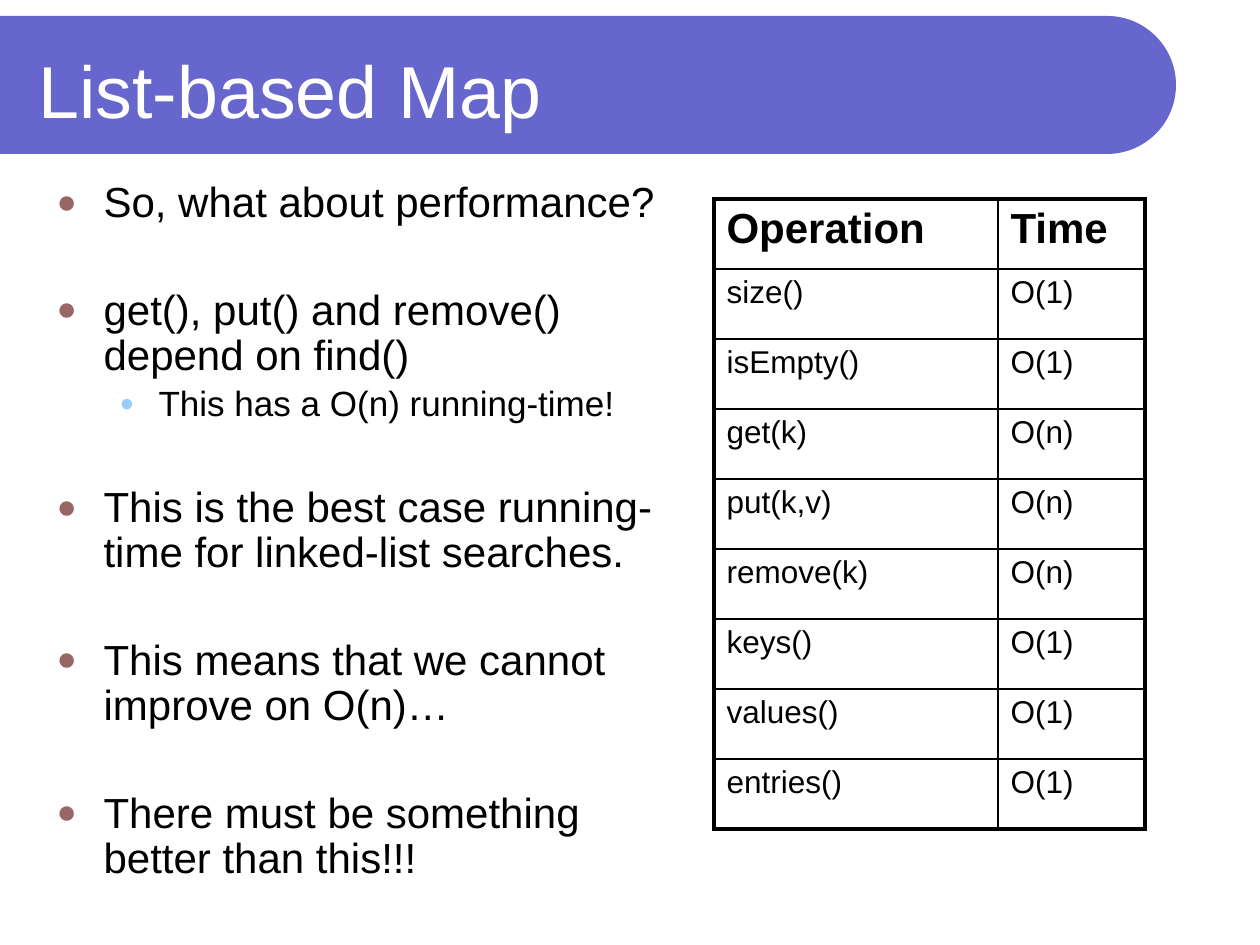
from math import cos, pi, sin

from lxml.etree import SubElement
from pptx import Presentation
from pptx.dml.color import RGBColor
from pptx.enum.text import MSO_ANCHOR as Anchor, MSO_AUTO_SIZE as AutoSize, PP_ALIGN as Align
from pptx.oxml import parse_xml
from pptx.oxml.ns import nsdecls, qn
from pptx.util import Emu, Pt

PX = 914400 / 126
BLACK, WHITE, PURPLE = "000000", "FFFFFF", "6666CC"
BULLETS = [  # level: colour, size %, left margin px, hanging indent px
    ("996666", 80, 47, 47),
    ("99CCFF", 70, 102, 39),
]
THIN, THICK = 1, 2.25

POINTS = [  # text, level, space before in points
    ("So, what about performance?", 0, 0),
    ("get(), put() and remove() depend on find()", 0, 35.5),
    ("This has a O(n) running-time!", 1, 4),
    ("This is the best case running-time for linked-list searches.", 0, 35.5),
    ("This means that we cannot improve on O(n)…", 0, 35.5),
    ("There must be something better than this!!!", 0, 35.5),
]
TIMES = [
    ("Operation", "Time"),
    ("size()", "O(1)"),
    ("isEmpty()", "O(1)"),
    ("get(k)", "O(n)"),
    ("put(k,v)", "O(n)"),
    ("remove(k)", "O(n)"),
    ("keys()", "O(1)"),
    ("values()", "O(1)"),
    ("entries()", "O(1)"),
]


def px(n):
    return Emu(round(n * PX))


def rgb(code):
    return RGBColor.from_string(code)


def write(p, text, size=24, color=BLACK, bold=False, font="Arial"):
    r = p.add_run()
    r.text = text
    r.font.name, r.font.size, r.font.bold = font, Pt(size), bold
    r.font.color.rgb = rgb(color)


def add_bullet(p, level):
    color, percent, margin, hanging = BULLETS[level]
    p.level = level
    pPr = p._p.get_or_add_pPr()
    pPr.set("marL", str(px(margin)))
    pPr.set("indent", str(-px(hanging)))
    SubElement(SubElement(pPr, qn("a:buClr")), qn("a:srgbClr"), val=color)
    SubElement(pPr, qn("a:buSzPct"), val=str(percent * 1000))
    SubElement(pPr, qn("a:buFont"), typeface="Arial")
    SubElement(pPr, qn("a:buChar"), char="●")


def set_borders(cell, **widths):
    """Draw cell borders; keys are the sides L, R, T and B, values are points."""
    tcPr = cell._tc.get_or_add_tcPr()
    for i, side in enumerate("LRTB"):
        tcPr.insert(i, parse_xml(
            f'<a:ln{side} {nsdecls("a")} w="{Pt(widths[side])}"><a:solidFill>'
            f'<a:srgbClr val="{BLACK}"/></a:solidFill></a:ln{side}>'))


class Deck:
    def __init__(self):
        self.prs = Presentation()
        self.prs.slide_width, self.prs.slide_height = px(1260), px(945)
        self.s = self.prs.slides.add_slide(self.prs.slide_layouts[1])

    def place(self, sp, x, y, w, h, anchor):
        sp.left, sp.top, sp.width, sp.height = px(x), px(y), px(w), px(h)
        tf = sp.text_frame
        tf.word_wrap, tf.auto_size, tf.vertical_anchor = True, AutoSize.NONE, anchor
        return tf

    def banner(self, right, top, bottom, color):
        """Band from the left slide edge with a half-round right end, behind the title."""
        radius = (bottom - top) / 2
        angles = [pi * (i / 48 - 0.5) for i in range(49)]
        arc = [(px(right - radius + radius * cos(a)), px(top + radius + radius * sin(a)))
               for a in angles]
        builder = self.s.shapes.build_freeform(0, px(top))
        builder.add_line_segments(arc + [(0, px(bottom))], close=True)
        sp = builder.convert_to_shape()
        sp.shadow.inherit = False
        sp.fill.solid()
        sp.fill.fore_color.rgb = rgb(color)
        sp.line.fill.background()
        self.s.shapes.title.element.addprevious(sp.element)

    def title(self, text, x, y, w, h):
        p = self.place(self.s.shapes.title, x, y, w, h, Anchor.MIDDLE).paragraphs[0]
        p.alignment = Align.LEFT
        write(p, text, size=42, color=WHITE)

    def bullets(self, points, x, y, w, h):
        tf = self.place(self.s.placeholders[1], x, y, w, h, Anchor.TOP)
        for i, (text, level, gap) in enumerate(points):
            p = tf.add_paragraph() if i else tf.paragraphs[0]
            add_bullet(p, level)
            p.line_spacing, p.space_before = 0.9, Pt(gap)
            write(p, text, size=20 if level else 24)

    def table(self, rows, x, y, widths, row_height):
        last_row, last_col = len(rows) - 1, len(widths) - 1
        table = self.s.shapes.add_table(
            len(rows), len(widths), px(x), px(y),
            px(sum(widths)), px(row_height * len(rows))).table
        table.first_row = table.horz_banding = False
        for col, width in zip(table.columns, widths):
            col.width = px(width)
        for i, row in enumerate(rows):
            table.rows[i].height = px(row_height)
            for j, text in enumerate(row):
                cell = table.cell(i, j)
                cell.fill.background()
                set_borders(cell,
                            L=THIN if j else THICK,
                            R=THICK if j == last_col else THIN,
                            T=THIN if i else THICK,
                            B=THICK if i == last_row else THIN)
                write(cell.text_frame.paragraphs[0], text,
                      size=18 if i else 24, bold=i == 0)


def main():
    deck = Deck()
    deck.banner(1176, 16, 154, PURPLE)
    deck.title("List-based Map", 26, 26, 1105, 126)
    deck.bullets(POINTS, 44, 175, 627, 725)
    deck.table(TIMES, 714, 199, (284, 147), 70)
    deck.prs.save("out.pptx")


if __name__ == "__main__":
    main()
